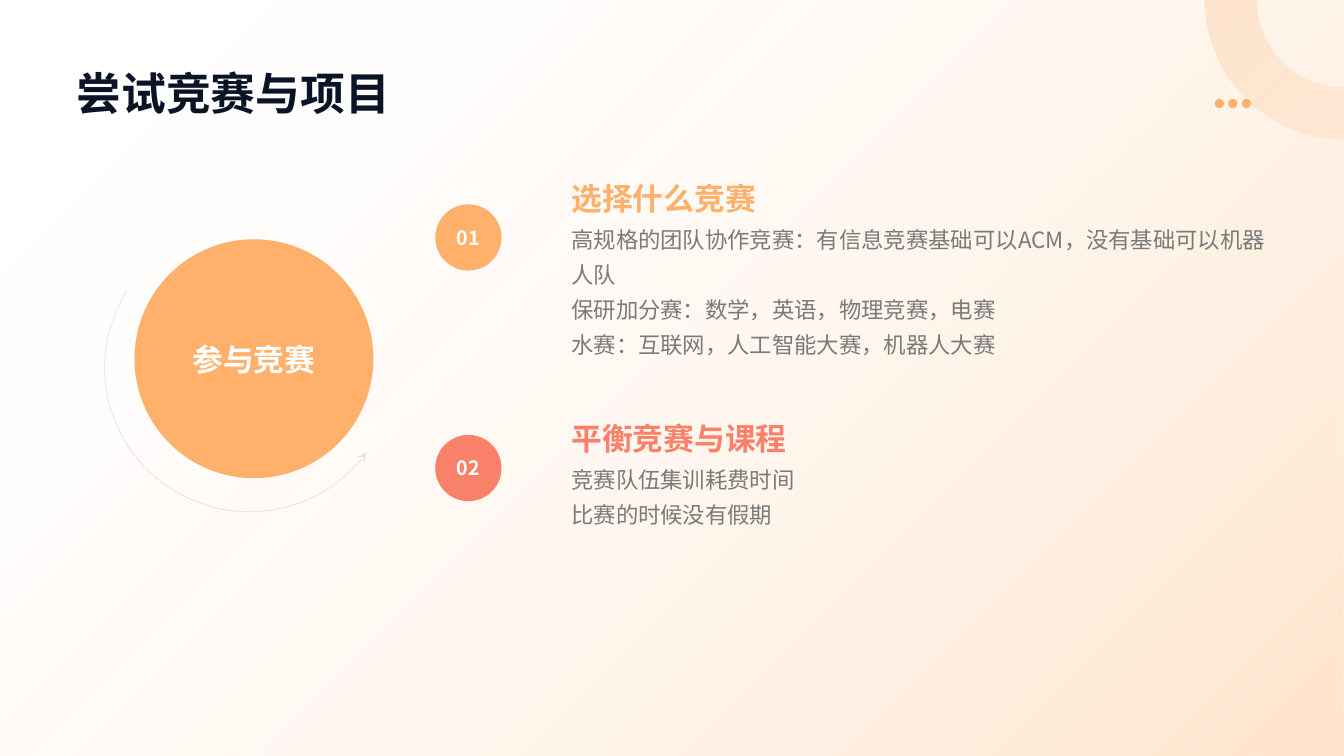
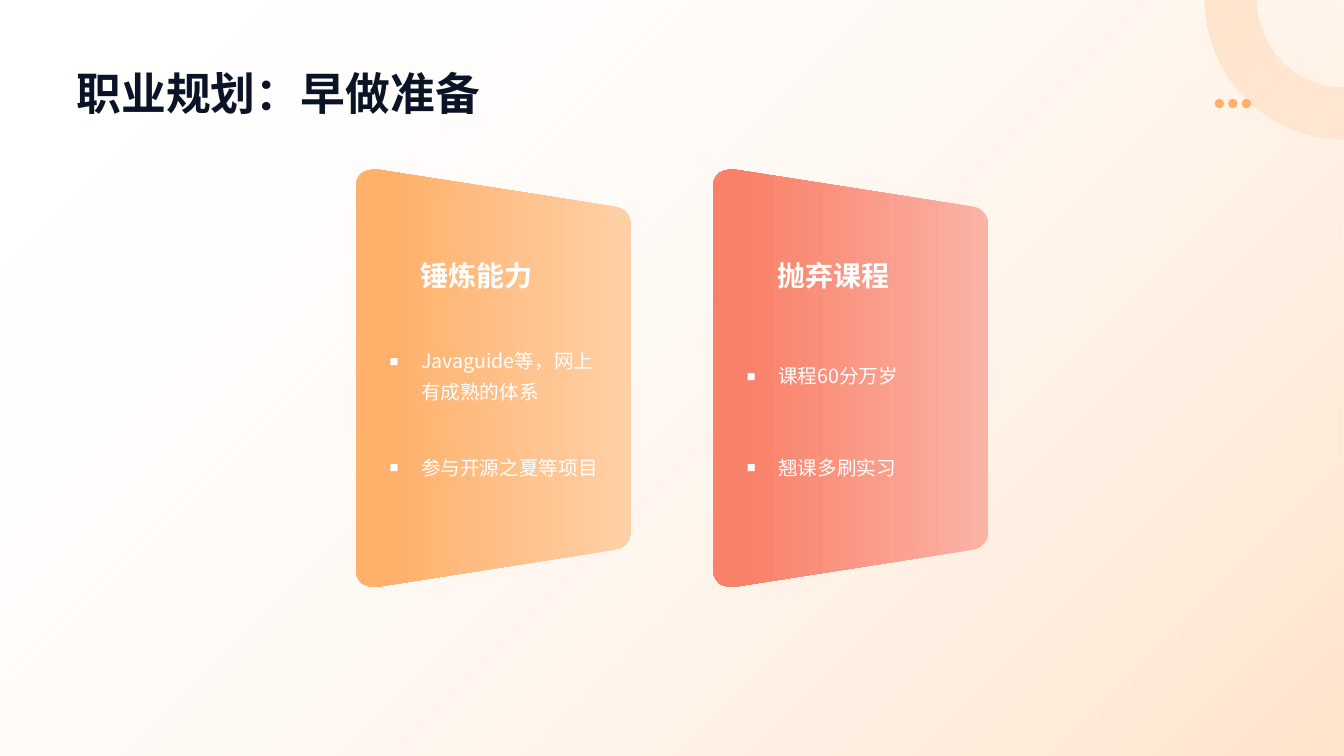
from math import cos, radians, sin
from lxml.etree import SubElement
from pptx import Presentation
from pptx.dml.color import RGBColor
from pptx.enum.shapes import MSO_SHAPE
from pptx.enum.text import MSO_ANCHOR, MSO_AUTO_SIZE, PP_ALIGN
from pptx.oxml.ns import qn
from pptx.util import Cm, Pt

FACE = "Noto Sans CJK SC"
HUES = {
    "white": "FFFFFF", "ink": "0B1427", "gray": "7A7A7A",
    "gold": "FFB06A", "coral": "F98069", "sand": "FFDFC3",
    "gold pale": "FFD0A6", "coral pale": "FBB3A5",
}

RACE = {
    "title": "尝试竞赛与项目",
    "hub": "参与竞赛",
    "parts": [
        ("01", "选择什么竞赛", "gold", 4.42, 5.15, [
            "高规格的团队协作竞赛：有信息竞赛基础可以ACM，没有基础可以机器人队",
            "保研加分赛：数学，英语，物理竞赛，电赛",
            "水赛：互联网，人工智能大赛，机器人大赛"]),
        ("02", "平衡竞赛与课程", "coral", 10.47, 10.96, [
            "竞赛队伍集训耗费时间",
            "比赛的时候没有假期"]),
    ],
}
PLAN = {
    "title": "职业规划：早做准备",
    "cards": [
        ("锤炼能力", "gold", ["Javaguide等，网上有成熟的体系", "参与开源之夏等项目"]),
        ("抛弃课程", "coral", ["课程60分万岁", "翘课多刷实习"]),
    ],
}

HEAD = {"size": 22, "bold": True, "anchor": MSO_ANCHOR.BOTTOM}
TITLE = {**HEAD, "size": 32, "hue": "ink"}
BODY = {"size": 16, "hue": "gray", "lead": 1.3}
MARK = {"size": 14, "bold": True, "anchor": MSO_ANCHOR.MIDDLE,
        "align": PP_ALIGN.CENTER, "wrap": False}
HUB = {**MARK, "size": 22, "wrap": True}
NAME = {"size": 20, "bold": True}
ITEM = {"size": 14, "lead": 1.3, "anchor": MSO_ANCHOR.MIDDLE, "mark": "■"}

BENDS = [
    [(0, 0.46), (0, 0.33), (0.05, 0.2), (0.15, 0.1)],
    [(0.15, 0.1), (0.25, 0.03), (0.38, 0), (0.53, 0)],
    [(6.55, 0.94), (6.78, 0.97), (6.95, 1.14), (6.95, 1.4)],
]
TALL = 10.52


def tint(name):
    return RGBColor.from_string(HUES[name])


def apply(obj, vals):
    for key, val in vals.items():
        setattr(obj, key, val)


def place(obj, left, top, width, height):
    apply(obj, {"left": Cm(left), "top": Cm(top),
                "width": Cm(width), "height": Cm(height)})
    return obj


def write(obj, lines, size, hue="white", bold=False, lead=1.0,
          anchor=MSO_ANCHOR.TOP, align=PP_ALIGN.LEFT, wrap=True, mark=None):
    frame = obj.text_frame
    apply(frame, {"word_wrap": wrap, "auto_size": MSO_AUTO_SIZE.NONE,
                  "vertical_anchor": anchor, "margin_left": 0,
                  "margin_right": 0, "margin_top": 0, "margin_bottom": 0})
    for num, line in enumerate(lines):
        para = frame.paragraphs[0] if num == 0 else frame.add_paragraph()
        props = para._p.get_or_add_pPr()
        inset = Cm(0.79) if mark else 0
        props.set("marL", str(inset))
        props.set("indent", str(-inset))
        if mark:
            SubElement(props, qn("a:buSzPct"), val="75000")
            SubElement(props, qn("a:buChar"), char=mark)
        else:
            SubElement(props, qn("a:buNone"))
        apply(para, {"alignment": align, "line_spacing": lead,
                     "space_before": Pt(0), "space_after": Pt(0)})
        run = para.add_run()
        run.text = line
        apply(run.font, {"name": FACE, "size": Pt(size), "bold": bold})
        run.font.color.rgb = tint(hue)
        SubElement(run._r.get_or_add_rPr(), qn("a:ea"), typeface=FACE)


def label(slide, box, lines, **form):
    obj = slide.shapes.add_textbox(*[Cm(val) for val in box])
    write(obj, lines, **form)


def paint(obj, hue=None, rim=None, wide=1):
    obj.shadow.inherit = False
    if hue:
        obj.fill.solid()
        obj.fill.fore_color.rgb = tint(hue)
    else:
        obj.fill.background()
    if rim:
        obj.line.color.rgb = tint(rim)
        obj.line.width = Pt(wide)
    else:
        obj.line.fill.background()
    return obj


def shape(slide, kind, box, *look):
    obj = slide.shapes.add_shape(kind, *[Cm(val) for val in box])
    return paint(obj, *look)


def fade(obj, stops, angle):
    obj.fill.gradient()
    grad = obj.element.spPr.find(qn("a:gradFill"))
    row = grad.find(qn("a:gsLst"))
    for old in list(row):
        row.remove(old)
    for pos, hue, alpha in stops:
        stop = SubElement(row, qn("a:gs"), pos=str(pos * 1000))
        color = SubElement(stop, qn("a:srgbClr"), val=HUES[hue])
        if alpha < 100:
            SubElement(color, qn("a:alpha"), val=str(alpha * 1000))
    grad.find(qn("a:lin")).set("ang", str(angle * 60000))


def outline(slide, loops, hue=None):
    pen = None
    for loop in loops:
        dots = [(Cm(x), Cm(y)) for bend in loop for x, y in bend]
        if pen:
            pen.move_to(*dots[0])
        else:
            pen = slide.shapes.build_freeform(*dots[0], scale=1.0)
        pen.add_line_segments(dots[1:], close=True)
    obj = pen.convert_to_shape()
    steps = [step for step in obj.element.iter(qn("a:moveTo"), qn("a:lnTo"))]
    bends = [bend for loop in loops for bend in loop]
    for num in range(len(bends)):
        curve = steps[4 * num + 1]
        for step in steps[4 * num + 2:4 * num + 4]:
            curve.append(step[0])
            step.getparent().remove(step)
        curve.tag = qn("a:cubicBezTo")
    return paint(obj, hue)


def quarter(mid, high, size, deg, turn=90):
    arm = 0.55 * size * (1 if turn > 0 else -1)
    a, b = radians(deg), radians(deg + turn)
    x, y = mid + size * cos(a), high + size * sin(a)
    u, v = mid + size * cos(b), high + size * sin(b)
    return [(x, y), (x - arm * sin(a), y + arm * cos(a)),
            (u + arm * sin(b), v - arm * cos(b)), (u, v)]


def dress(deck, slide, layout):
    wide = deck.slide_width.cm
    back = shape(slide, MSO_SHAPE.RECTANGLE, (0, 0, wide, deck.slide_height.cm))
    fade(back, [(0, "white", 0), (99, "gold", 34)], 45)
    ring = outline(slide, [[quarter(wide, 0, 3.51, 90), quarter(wide, 0, 2.19, 180, -90)]])
    fade(ring, [(0, "sand", 75), (100, "sand", 50)], 45)
    dots = outline(slide, [[quarter(30.73 + 0.34 * num, 2.61, 0.12, deg)
                            for deg in range(0, 360, 90)] for num in range(3)], "gold")
    for num, obj in enumerate([back, ring, dots]):
        obj.element.nvSpPr.cNvPr.set("id", str(50 + num))
        layout.shapes.element.insert(2 + num, obj.element)


def start(deck, layout, text):
    slide = deck.slides.add_slide(layout)
    write(place(slide.shapes.title, 1.93, 1, 30, 2), [text], **TITLE)
    return slide, list(slide.placeholders)[1:]


def race(slide, slots):
    for num, (tag, name, hue, top, mid, lines) in enumerate(RACE["parts"]):
        head, body = slots[2 * num:2 * num + 2]
        write(place(head, 14.4, top, 17.55, 1.04), [name], hue=hue, **HEAD)
        write(place(body, 14.4, top + 1.08, 17.55, 4.27), lines, **BODY)
        disc = shape(slide, MSO_SHAPE.OVAL, (10.97, mid, 1.67, 1.67), hue)
        write(disc, [tag], **MARK)
    arc = shape(slide, MSO_SHAPE.ARC, (2.66, 5.63, 7.24, 7.29), None, "gray", 0.5)
    arc.rotation = 103
    arc.adjustments[0], arc.adjustments[1] = 175.795, 65.515
    line = arc.element.spPr.find(qn("a:ln"))
    color = line.find(qn("a:solidFill"))[0]
    SubElement(color, qn("a:alpha"), val="20000")
    SubElement(line, qn("a:headEnd"), type="stealth")
    hub = shape(slide, MSO_SHAPE.OVAL, (3.39, 6.03, 6.02, 6.02), "gold")
    write(hub, [RACE["hub"]], **HUB)


def plan(slide, slots):
    lower = [[(x, TALL - y) for x, y in bend[::-1]] for bend in BENDS[::-1]]
    for num, (name, hue, items) in enumerate(PLAN["cards"]):
        left = 8.96 + 9 * num
        edge = [[(left + x, 4.27 + y) for x, y in bend] for bend in BENDS + lower]
        card = outline(slide, [edge])
        fade(card, [(0, hue + " pale", 100), (90, hue, 100)], 180)
        slide.shapes.title.element.addprevious(card.element)
        label(slide, (left + 1.64, 6.52, 4.72, 0.94), [name], **NAME)
        for row, item in enumerate(items):
            slot = place(slots[2 * num + row], left + 0.86, 8.26 + 2.3 * row, 5.49, 2.26)
            write(slot, [item], **ITEM)


def main():
    deck = Presentation()
    apply(deck, {"slide_width": Cm(33.87), "slide_height": Cm(19.05)})
    layout = deck.slide_layouts.get_by_name("Comparison")
    slide, slots = start(deck, layout, RACE["title"])
    dress(deck, slide, layout)
    race(slide, slots)
    plan(*start(deck, layout, PLAN["title"]))
    deck.save("out.pptx")


if __name__ == "__main__":
    main()
